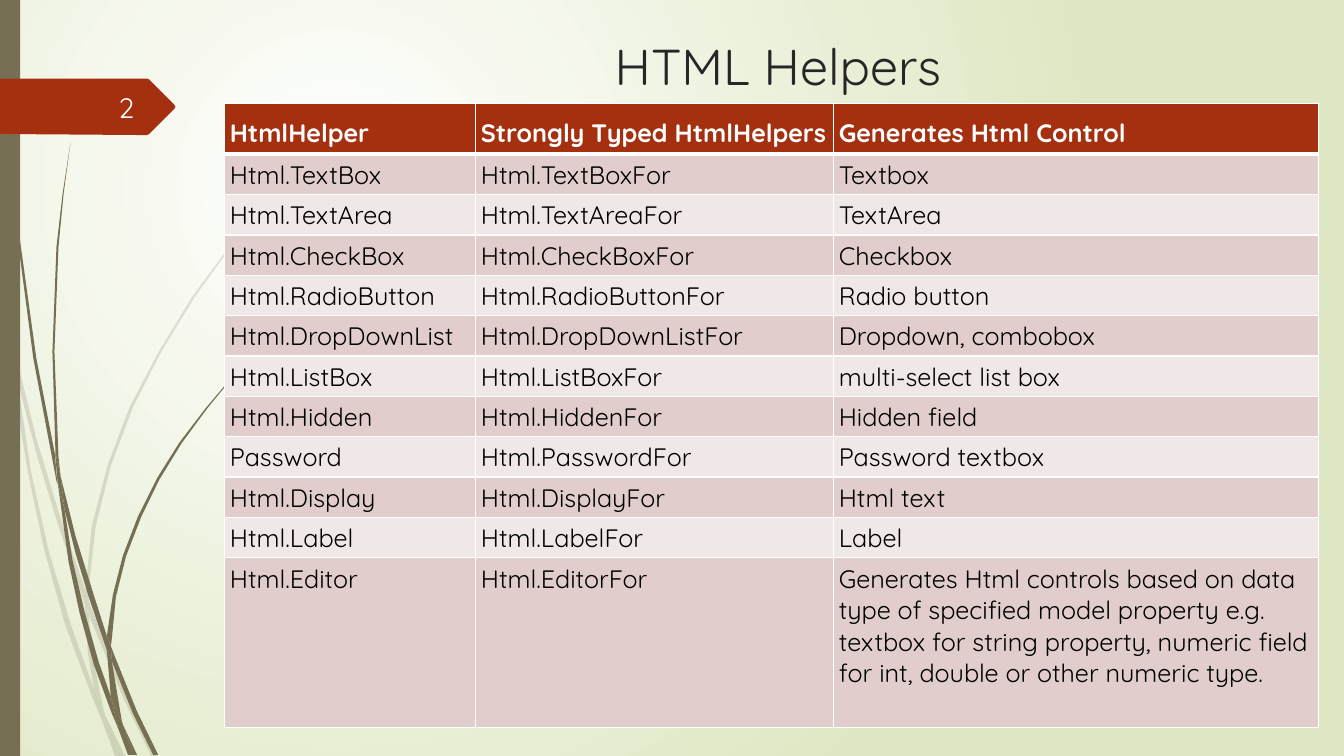
from lxml.etree import SubElement as Sub
from pptx import Presentation as Deck
from pptx.dml.color import RGBColor as Rgb
from pptx.enum.shapes import MSO_SHAPE as Kind
from pptx.enum.text import MSO_ANCHOR as Anchor, PP_ALIGN as Align
from pptx.oxml.ns import qn
from pptx.util import Inches, Pt

HUES = {
    "white": "FFFFFF", "lime": "DFE8C4", "olive": "766F54", "rust": "A53010",
    "ink": "262626", "black": "000000", "snow": "FEFFFF",
    "rose": "E1CDCC", "pale": "F0E8E7",
}

FAINT = [
    "0.11,3.5 0.09,3.22 0,2.82 0,2.99 0.1,3.44",
    "0.58,5.22 0.84,5.99 0.85,5.86 0.62,5.2 0.36,4.35 0.14,3.45 0.17,3.76 0.36,4.5",
    "0.92,6.07 0.88,5.96 0.88,6.1 1.23,6.94 1.5,7.5 1.55,7.5 1.27,6.92",
    "1.19,7.5 1.24,7.5 1.05,7.11",
    "0.93,6.83 0.7,6.19 0.48,5.45 0.31,4.69 0.17,3.76 0.11,3.5 0.18,4.1 0.28,4.7 "
    "0.44,5.46 0.65,6.21 0.92,6.93 1.01,7.14 0.99,7.07",
    "0.84,5.99 0.87,6.46 0.93,6.83 0.96,6.92 1.05,7.11 1.03,7.06 0.91,6.46 0.88,6.1",
    "0.88,5.84 0.95,5.22 1.1,4.62 1.32,4.04 1.6,3.49 1.93,2.95 2.29,2.45 2.68,1.98 "
    "2.9,1.75 3.12,1.54 3.12,1.53 2.89,1.75 2.68,1.97 2.28,2.44 1.91,2.94 1.58,3.48 "
    "1.29,4.03 1.07,4.61 0.91,5.22 0.85,5.84 0.85,5.86 0.88,5.96",
    "1.01,7.14 1.14,7.5 1.19,7.5",
    "0.88,6.08 0.88,5.96 0.85,5.86 0.84,5.99",
    "0.96,6.92 0.93,6.83 0.99,7.07 1.01,7.14 1.19,7.5 1.05,7.11",
]

DARK = [
    "0.07,1.1 0.17,2.33 0.33,3.55 0.56,4.77 0.57,4.81 0.55,4.57 0.55,4.53 "
    "0.36,3.55 0.19,2.32 0.08,1.09 0.05,0.48 0.04,0 0.03,0 0.04,0.48",
    "0.88,5.92 1.06,6.45 1.06,6.31 0.93,5.9 0.75,5.32 0.6,4.72 0.64,5.05 0.75,5.49",
    "1.13,6.49 1.1,6.41 1.11,6.56 1.32,7.08 1.52,7.49 1.57,7.49 1.36,7.06",
    "1.1,6.91 0.98,6.57 0.84,6.07 0.72,5.56 0.64,5.05 0.57,4.77 0.68,5.57 "
    "0.79,6.08 0.93,6.59 1.11,7.08 1.17,7.22 1.16,7.17",
    "0.6,4.72 0.58,4.53 0.54,3.49 0.58,2.45 0.63,1.93 0.7,1.41 0.62,1.93 "
    "0.56,2.45 0.52,3.49 0.55,4.49",
    "1.33,7.49 1.36,7.49 1.22,7.19",
    "0.57,4.77 0.64,5.05 0.6,4.72 0.55,4.49 0.55,4.53",
    "1.11,6.33 1.15,5.92 1.25,5.52 1.4,5.13 1.58,4.76 1.8,4.4 2.05,4.06 2.31,3.74 "
    "2.45,3.59 2.61,3.44 2.6,3.44 2.45,3.58 2.31,3.73 2.04,4.05 1.78,4.39 1.56,4.74 "
    "1.37,5.12 1.22,5.51 1.12,5.9 1.06,6.31 1.1,6.41",
    "1.17,7.22 1.27,7.49 1.31,7.49",
    "1.06,6.45 1.1,6.91 1.16,7.06 1.22,7.19 1.21,7.16 1.11,6.56 1.09,6.51",
    "1.06,6.45 1.09,6.51 1.11,6.56 1.1,6.41 1.06,6.31",
    "1.16,7.06 1.1,6.91 1.16,7.17 1.17,7.22 1.3,7.49 1.33,7.49 1.22,7.19",
]

TAG = "0,0.78 1.46,0.78 1.48,0.79 1.73,1.04 1.74,1.06 1.73,1.08 1.48,1.33 1.46,1.34 1.36,1.34 0,1.33"

ROWS = [
    ("HtmlHelper", "Strongly Typed HtmlHelpers", "Generates Html Control"),
    ("Html.TextBox", "Html.TextBoxFor", "Textbox"),
    ("Html.TextArea", "Html.TextAreaFor", "TextArea"),
    ("Html.CheckBox", "Html.CheckBoxFor", "Checkbox"),
    ("Html.RadioButton", "Html.RadioButtonFor", "Radio button"),
    ("Html.DropDownList", "Html.DropDownListFor", "Dropdown, combobox"),
    ("Html.ListBox", "Html.ListBoxFor", "multi-select list box"),
    ("Html.Hidden", "Html.HiddenFor", "Hidden field"),
    ("Password", "Html.PasswordFor", "Password textbox"),
    ("Html.Display", "Html.DisplayFor", "Html text"),
    ("Html.Label", "Html.LabelFor", "Label"),
    ("Html.Editor", "Html.EditorFor",
     "Generates Html controls based on data type of specified model property e.g. "
     "textbox for string property, numeric field for int, double or other numeric type."),
]


class Pen:
    face = "Quicksand"

    def __init__(self, slide):
        self.slide = slide
        self.shapes = slide.shapes

    def put(self, item, vals):
        for key, val in vals.items():
            setattr(item, key, val)

    def hue(self, name):
        return Rgb.from_string(HUES[name])

    def paint(self, item, name):
        item.fill.solid()
        item.fill.fore_color.rgb = self.hue(name)

    def back(self, inner, outer):
        fill = self.slide.background.fill
        fill.gradient()
        for stop, name in zip(fill.gradient_stops, (inner, outer)):
            stop.color.rgb = self.hue(name)
        grad = self.slide.element.find(".//" + qn("a:gradFill"))
        grad.remove(grad.find(qn("a:lin")))
        ring = Sub(grad, qn("a:path"), path="circle")
        Sub(ring, qn("a:fillToRect"), l="50000", t="50000", r="100000", b="100000")

    def finish(self, shape, name, alpha=None):
        self.paint(shape, name)
        shape.line.fill.background()
        shape.shadow.inherit = False
        if alpha:
            tint = shape.element.spPr.find(".//" + qn("a:srgbClr"))
            Sub(tint, qn("a:alpha"), val=str(alpha * 1000))

    def blade(self, knots, name, alpha=None):
        pts = [tuple(Inches(float(n)) for n in knot.split(",")) for knot in knots.split()]
        form = self.shapes.build_freeform(*pts[0])
        form.add_line_segments(pts[1:])
        self.finish(form.convert_to_shape(), name, alpha)

    def rect(self, box, name):
        self.finish(self.shapes.add_shape(Kind.RECTANGLE, *map(Inches, box)), name)

    def words(self, frame, text, size, name, align=Align.LEFT, bold=False):
        para = frame.paragraphs[0]
        para.alignment = align
        run = para.add_run()
        run.text = text
        self.put(run.font, {"name": self.face, "size": Pt(size), "bold": bold})
        run.font.color.rgb = self.hue(name)

    def label(self, box, text, size, name, align, anchor=Anchor.TOP):
        frame = self.shapes.add_textbox(*map(Inches, box)).text_frame
        self.put(frame, {"word_wrap": True, "vertical_anchor": anchor})
        self.words(frame, text, size, name, align)

    def edge(self, cell, widths):
        props = cell._tc.get_or_add_tcPr()
        for side, width in zip("LRTB", widths):
            line = Sub(props, qn("a:ln" + side), w=str(Pt(width)))
            Sub(Sub(line, qn("a:solidFill")), qn("a:srgbClr"), val=HUES["white"])

    def table(self, box, rows, wide, high):
        grid = self.shapes.add_table(len(rows), len(wide), *map(Inches, box)).table
        grid.horz_banding = False
        for col, width in zip(grid.columns, wide):
            col.width = Inches(width)
        pad = dict.fromkeys(
            ("margin_left", "margin_right", "margin_top", "margin_bottom"), Inches(0.05))
        for i, row in enumerate(rows):
            grid.rows[i].height = Inches(high[i])
            head = i == 0
            tone = "rust" if head else ("pale", "rose")[i % 2]
            for j, text in enumerate(row):
                cell = grid.cell(i, j)
                self.put(cell, pad)
                cell.vertical_anchor = Anchor.BOTTOM if head else Anchor.TOP
                self.edge(cell, (1, 1, 3 if i == 1 else 1, 3 if head else 1))
                self.paint(cell, tone)
                self.words(cell.text_frame, text, 18, "white" if head else "black", bold=head)


def main():
    deck = Deck()
    deck.slide_width, deck.slide_height = Inches(13.33), Inches(7.5)
    pen = Pen(deck.slides.add_slide(deck.slide_layouts[6]))
    pen.back("white", "lime")
    for knots in FAINT:
        pen.blade(knots, "olive", 20)
    for knots in DARK:
        pen.blade(knots, "olive")
    pen.rect((0, 0, 0.2, 7.5), "olive")
    pen.blade(TAG, "rust")
    pen.label((2.84, 0.3, 9.75, 1.4), "HTML Helpers", 36, "ink", Align.CENTER)
    pen.table((2.23, 1.03, 10.85, 6.22), ROWS, (2.49, 3.55, 4.81), [0.5] + [0.39] * 10 + [1.68])
    pen.label((0.58, 0.86, 0.85, 0.4), "2", 20, "snow", Align.RIGHT, Anchor.MIDDLE)
    deck.save("out.pptx")


if __name__ == "__main__":
    main()
